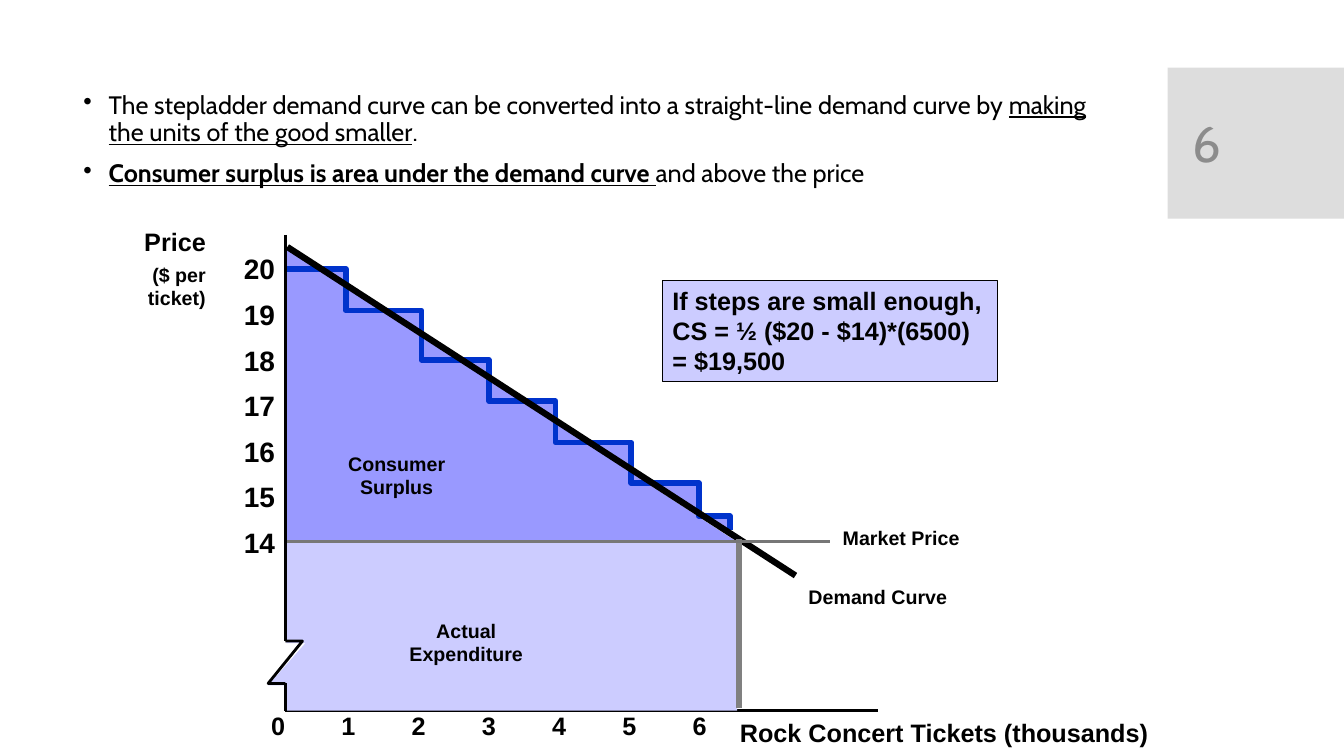
import lxml.etree
import pptx
import pptx.dml.color
import pptx.enum.shapes
import pptx.enum.text
import pptx.oxml.ns
import pptx.util

Inches = pptx.util.Inches
Pt = pptx.util.Pt
ALIGN = pptx.enum.text.PP_ALIGN
ANCHOR = pptx.enum.text.MSO_ANCHOR
SHAPE = pptx.enum.shapes.MSO_SHAPE

BLACK, GREY = "000000", "777777"
SURPLUS, EXPENDITURE, STEP = "9999FF", "CCCCFF", "0033CC"
AXIS_X, AXIS_Y = 2.83, 7.05


def color(value):
    return pptx.dml.color.RGBColor.from_string(value)


def paint(s, fill=None, line=None, width=1):
    s.shadow.inherit = False
    if fill:
        s.fill.solid()
        s.fill.fore_color.rgb = color(fill)
    else:
        s.fill.background()
    if line:
        s.line.color.rgb = color(line)
        s.line.width = Pt(width)
    else:
        s.line.fill.background()


def add_run(p, text, size=18, font="Arial", fill=BLACK, bold=True, underline=False):
    r = p.add_run()
    r.text = text
    r.font.size = Pt(size)
    r.font.name = font
    r.font.color.rgb = color(fill)
    r.font.bold = bold
    r.font.underline = underline


def write(s, text, align=ALIGN.LEFT, wrap=False, grow=True, **fmt):
    """Write one paragraph for each line of the text."""
    tf = s.text_frame
    tf.word_wrap = wrap
    tf.vertical_anchor = ANCHOR.TOP
    if grow:
        tf.auto_size = pptx.enum.text.MSO_AUTO_SIZE.SHAPE_TO_FIT_TEXT
    for i, line in enumerate(text.split("\n")):
        p = tf.add_paragraph() if i else tf.paragraphs[0]
        p.alignment = align
        add_run(p, line, **fmt)
    return tf


def label(shapes, text, x, y, w, h, **fmt):
    s = shapes.add_textbox(Inches(x), Inches(y), Inches(w), Inches(h))
    return write(s, text, **fmt)


def box(shapes, kind, x, y, w, h, **style):
    s = shapes.add_shape(kind, Inches(x), Inches(y), Inches(w), Inches(h))
    paint(s, **style)
    return s


def line(shapes, x1, y1, x2, y2, width=2, fill=BLACK):
    s = shapes.add_connector(pptx.enum.shapes.MSO_CONNECTOR.STRAIGHT,
                             Inches(x1), Inches(y1), Inches(x2), Inches(y2))
    s.line.color.rgb = color(fill)
    s.line.width = Pt(width)
    lxml.etree.SubElement(s._element.spPr, pptx.oxml.ns.qn("a:effectLst"))


def outline(shapes, points, close=False, **style):
    points = [(Inches(x), Inches(y)) for x, y in points]
    builder = shapes.build_freeform(*points[0])
    builder.add_line_segments(points[1:], close=close)
    paint(builder.convert_to_shape(), **style)


def bullets(shapes, items, x, y, w, h):
    s = shapes.add_textbox(Inches(x), Inches(y), Inches(w), Inches(h))
    tf = s.text_frame
    tf.word_wrap = True
    for i, runs in enumerate(items):
        p = tf.add_paragraph() if i else tf.paragraphs[0]
        pPr = p._p.get_or_add_pPr()
        pPr.set("marL", str(Inches(0.25)))
        pPr.set("indent", str(-Inches(0.25)))
        bullet = lxml.etree.SubElement(pPr, pptx.oxml.ns.qn("a:buChar"))
        bullet.set("char", "•")
        p.line_spacing = 0.9
        if i:
            p.space_before = Pt(10)
        for text, fmt in runs:
            add_run(p, text, **{"font": "Cabin", "bold": False, **fmt})


def demand(shapes):
    # Surplus area with the stepladder and the straight demand curve
    box(shapes, SHAPE.RIGHT_TRIANGLE, AXIS_X, 2.45, 4.5, 2.94, fill=SURPLUS)
    steps = [(3.43, 2.67), (4.18, 3.08), (4.85, 3.57), (5.51, 3.98),
             (6.26, 4.39), (6.93, 4.79), (7.24, 5.12)]
    ends = [y for _, y in steps[1:]] + [5.26]
    points = [(2.85, 2.67)]
    for (x, y), end in zip(steps, ends):
        points += [(x, y), (x, end)]
    outline(shapes, points, fill=SURPLUS, line=STEP, width=4)
    line(shapes, 2.85, 2.45, 7.89, 5.71, width=4.5)
    label(shapes, "Demand Curve", 7.92, 5.75, 1.58, 0.33, size=14)
    label(shapes, "Consumer\nSurplus", 3.35, 4.43, 1.17, 0.57, size=14, align=ALIGN.CENTER)


def expenditure(shapes):
    # Area below the market price, notched at the axis break
    outline(shapes, [(2.84, 5.38), (7.31, 5.38), (7.31, AXIS_Y), (2.84, AXIS_Y),
                     (2.84, 6.8), (2.66, 6.8), (3.03, 6.38), (2.84, 6.38)],
            close=True, fill=EXPENDITURE)
    label(shapes, "Actual\nExpenditure", 3.96, 6.09, 1.33, 0.57, size=14, align=ALIGN.CENTER)
    line(shapes, 7.33, 5.35, 7.33, 7.02, width=4, fill="808080")
    line(shapes, 2.85, 5.37, 8.23, 5.37, fill=GREY)
    label(shapes, "Market Price", 8.26, 5.17, 1.37, 0.33, size=14)


def axis_labels(shapes):
    for i in range(7):
        label(shapes, str(i), 2.59 + 0.697 * i, 7, 0.34, 0.4)
        label(shapes, str(20 - i), 2.32, 2.45 + 0.452 * i, 0.51, 0.43, size=20)
    label(shapes, "Rock Concert Tickets (thousands)", 7.24, 7.07, 4.34, 0.4, wrap=True)
    tf = label(shapes, "Price\n($ per\nticket)", 1.32, 2.2, 0.82, 0.94, align=ALIGN.RIGHT, size=14)
    tf.paragraphs[0].runs[0].font.size = Pt(18)
    tf.paragraphs[1].space_before = Pt(4)


def price_axis(shapes):
    line(shapes, AXIS_X, 2.33, AXIS_X, 6.36)
    line(shapes, AXIS_X, AXIS_Y, AXIS_X, 6.78)
    outline(shapes, [(AXIS_X, 6.78), (2.66, 6.78), (3.0, 6.36), (AXIS_X, 6.36)],
            line=BLACK, width=2)


def main():
    prs = pptx.Presentation()
    prs.slide_width, prs.slide_height = Inches(13.33), Inches(7.5)
    shapes = prs.slides.add_slide(prs.slide_layouts[6]).shapes

    # Page number
    box(shapes, SHAPE.RECTANGLE, 11.58, 0.67, 1.75, 1.5, fill="DDDDDD")
    tf = label(shapes, "6", 11.73, 0.82, 1.26, 1.19, wrap=True, grow=False,
               size=36, font="Cabin", fill="8C8C8C", bold=False)
    tf.vertical_anchor = ANCHOR.MIDDLE

    # Main points
    bullets(shapes, [
        [("The stepladder demand curve can be converted into a straight-line demand curve by ", {}),
         ("making the units of the good smaller", {"underline": True}),
         (".", {})],
        [("Consumer surplus is area under the demand curve ", {"bold": True, "underline": True}),
         ("and above the price", {})],
    ], 0.73, 0.87, 10.47, 1.21)

    # Diagram
    demand(shapes)
    line(shapes, AXIS_X, AXIS_Y, 8.71, AXIS_Y)
    expenditure(shapes)
    price_axis(shapes)
    axis_labels(shapes)

    # Surplus formula
    s = box(shapes, SHAPE.RECTANGLE, 6.57, 2.78, 3.32, 1.01,
            fill=EXPENDITURE, line=BLACK, width=0.75)
    write(s, "If steps are small enough, CS = ½ ($20 - $14)*(6500) = $19,500", wrap=True)

    prs.save("out.pptx")


if __name__ == "__main__":
    main()
